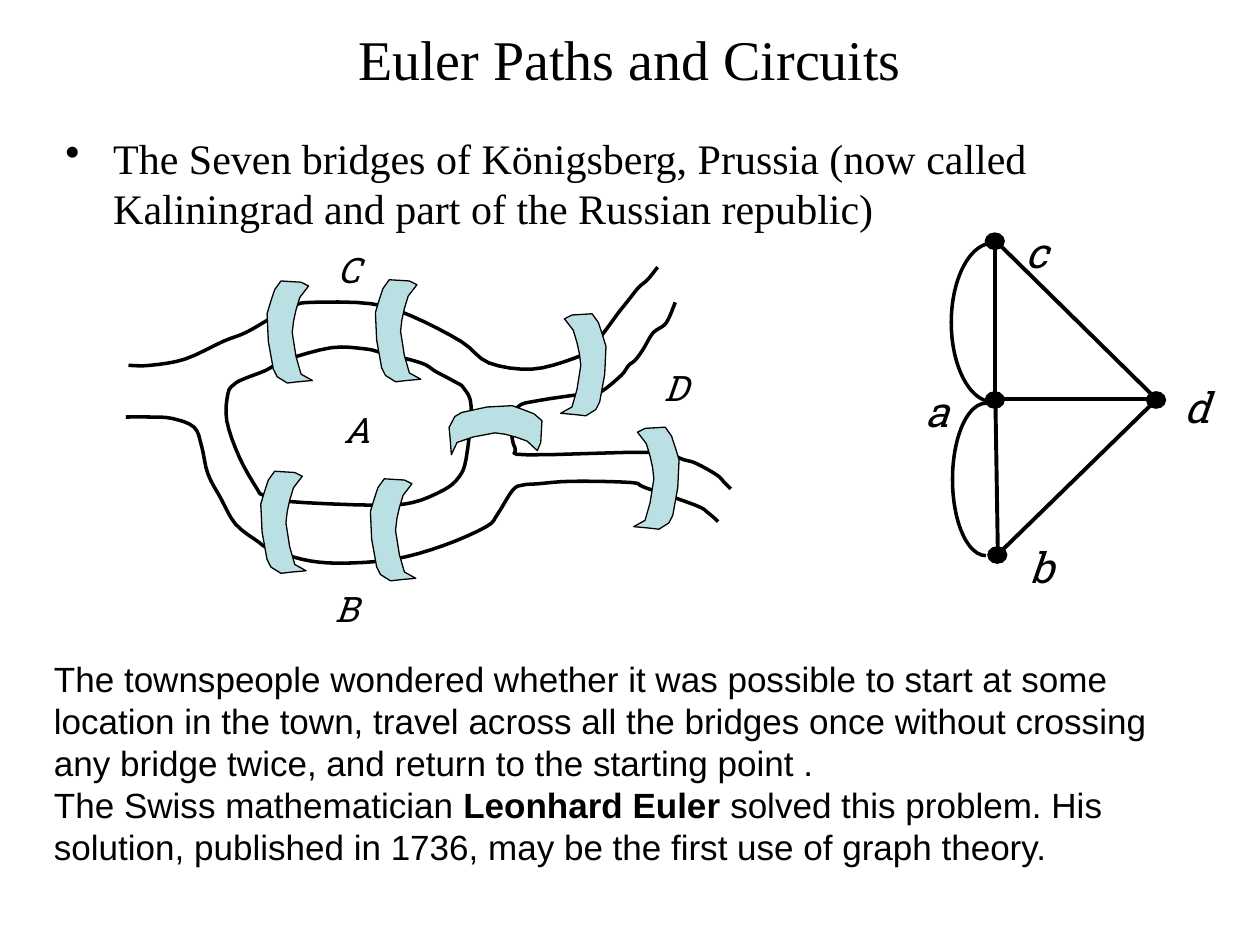
from lxml.etree import SubElement
from pptx import Presentation
from pptx.dml.color import RGBColor
from pptx.enum.shapes import MSO_CONNECTOR, MSO_SHAPE as Shape
from pptx.enum.text import MSO_ANCHOR as Anchor, PP_ALIGN as Align
from pptx.oxml.ns import qn
from pptx.util import Inches, Pt

BLACK = RGBColor(0x00, 0x00, 0x00)
BRIDGE_BLUE = RGBColor(0xBB, 0xE0, 0xE3)

prs = Presentation()
prs.slide_width, prs.slide_height = Inches(10), Inches(7.5)
slide = prs.slides.add_slide(prs.slide_layouts[6])
shapes = slide.shapes


def add_text(paragraphs, left, top, width, height, font, size, italic=False,
             align=Align.LEFT, anchor=Anchor.TOP, wrap=True):
    """Each paragraph is a list of (text, bold) runs."""
    frame = shapes.add_textbox(Inches(left), Inches(top), Inches(width), Inches(height)).text_frame
    frame.word_wrap = wrap
    frame.vertical_anchor = anchor
    for i, runs in enumerate(paragraphs):
        paragraph = frame.paragraphs[0] if i == 0 else frame.add_paragraph()
        paragraph.alignment = align
        for words, bold in runs:
            run = paragraph.add_run()
            run.text = words
            run.font.name, run.font.size = font, Pt(size)
            run.font.bold, run.font.italic = bold, italic
            run.font.color.rgb = BLACK
    return frame


def add_outline(points, closed=False, steps=1, fill=None, weight=2.25):
    """Draw through the points; more than one step rounds each span as a Catmull-Rom spline."""
    ends = [points[0], *points, points[-1]]
    if closed:
        ends = [points[-1], *points, points[0], points[1]]
    path = [ends[1]]
    for p0, p1, p2, p3 in zip(ends, ends[1:], ends[2:], ends[3:]):
        for step in range(1, steps + 1):
            t = step / steps
            path.append(p2 if step == steps else tuple(
                b + t * (c - a) / 2 + t ** 2 * (2 * a - 5 * b + 4 * c - d) / 2
                + t ** 3 * (3 * b - a - 3 * c + d) / 2
                for a, b, c, d in zip(p0, p1, p2, p3)))
    path = [(Inches(x), Inches(y)) for x, y in path]
    builder = shapes.build_freeform(*path[0])
    builder.add_line_segments(path[1:], close=closed)
    outline = builder.convert_to_shape()
    outline.shadow.inherit = False
    outline.line.color.rgb, outline.line.width = BLACK, Pt(weight)
    if fill is None:
        outline.fill.background()
    else:
        outline.fill.solid()
        outline.fill.fore_color.rgb = fill


# Heading and bullet
add_text([[("Euler Paths and Circuits", False)]], 0.5, 0, 9, 0.92,
         "Times New Roman", 32, align=Align.CENTER, anchor=Anchor.MIDDLE)
intro = add_text([[("The Seven bridges of Königsberg, Prussia (now called "
                    "Kaliningrad and part of the Russian republic)", False)]],
                 0.42, 1, 9.25, 0.92, "Times New Roman", 24)
bullet_props = intro.paragraphs[0]._p.get_or_add_pPr()
bullet_props.set("marL", str(Inches(0.38)))
bullet_props.set("indent", str(-Inches(0.38)))
SubElement(bullet_props, qn("a:buChar")).set("char", "•")

# Graph: vertices, straight edges and the doubled edges
vertices = {"a": (7.9, 3.17), "b": (7.92, 4.4), "c": (7.9, 1.91), "d": (9.18, 3.17)}
for start, end in ("cd", "ad", "ab", "ac", "bd"):
    edge = shapes.add_connector(MSO_CONNECTOR.STRAIGHT,
                                *map(Inches, vertices[start] + vertices[end]))
    edge.line.color.rgb, edge.line.width = BLACK, Pt(2.25)
    SubElement(edge._element.spPr, qn("a:effectLst"))
for x, y in vertices.values():
    dot = shapes.add_shape(Shape.OVAL, Inches(x - 0.08), Inches(y - 0.06), Inches(0.15), Inches(0.13))
    dot.shadow.inherit = False
    dot.fill.solid()
    dot.fill.fore_color.rgb = BLACK
    dot.line.color.rgb, dot.line.width = BLACK, Pt(0.75)
for left, top, width, height in ((7.55, 1.93, 0.66, 1.26), (7.56, 3.2, 0.53, 1.21)):
    arc = shapes.add_shape(Shape.ARC, Inches(left), Inches(top), Inches(width), Inches(height))
    arc.adjustments[0], arc.adjustments[1] = 54, 162  # 90° to 270°, in units of 100000/60000 degree
    arc.shadow.inherit = False
    arc.fill.background()
    arc.line.color.rgb, arc.line.width = BLACK, Pt(2)

# River banks and the island
north_bank = [
    (1.02, 2.9), (1.19, 2.9), (1.47, 2.85), (1.77, 2.71), (1.95, 2.64), (2.16, 2.52),
    (2.33, 2.43), (2.46, 2.4), (2.94, 2.41), (3.27, 2.51), (3.66, 2.71), (3.88, 2.88),
    (4.22, 2.93), (4.54, 2.85), (4.69, 2.77), (4.77, 2.67), (4.83, 2.59), (4.91, 2.48),
    (4.95, 2.43), (4.99, 2.38), (5.07, 2.28), (5.14, 2.22), (5.22, 2.12)]
south_bank = [
    (1, 3.31), (1.17, 3.31), (1.36, 3.32), (1.54, 3.39), (1.6, 3.54), (1.65, 3.76),
    (1.75, 3.95), (1.87, 4.16), (2.05, 4.3), (2.13, 4.35), (2.4, 4.44), (2.69, 4.47),
    (3.12, 4.44), (3.52, 4.33), (3.86, 4.18), (3.95, 4.08), (4.07, 3.89), (4.15, 3.85),
    (4.27, 3.84), (4.54, 3.82), (5.01, 3.83), (5.12, 3.87), (5.52, 4.01), (5.62, 4.07),
    (5.7, 4.14)]
east_bank = [
    (5.36, 2.4), (5.29, 2.56), (5.21, 2.62), (5.17, 2.66), (5.1, 2.78), (5.04, 2.86),
    (4.99, 2.9), (4.93, 2.98), (4.77, 3.11), (4.68, 3.12), (4.27, 3.18), (4.11, 3.23),
    (4.06, 3.39), (4.09, 3.56), (4.19, 3.61), (5.17, 3.59), (5.43, 3.65), (5.53, 3.68),
    (5.69, 3.77), (5.75, 3.83), (5.8, 3.88)]
island = [
    (1.86, 3.05), (1.93, 3.01), (2.11, 2.94), (2.26, 2.86), (2.63, 2.76), (2.9, 2.77),
    (3.03, 2.8), (3.34, 2.88), (3.46, 2.95), (3.61, 3.03), (3.68, 3.08), (3.74, 3.23),
    (3.7, 3.64), (3.64, 3.79), (3.52, 3.89), (3.27, 3.99), (2.96, 4.01), (2.28, 3.98),
    (2.09, 3.93), (2.04, 3.88), (1.9, 3.63), (1.8, 3.34), (1.81, 3.12)]
for bank in (north_bank, island, south_bank, east_bank):
    add_outline(bank, closed=bank is island, steps=4, weight=2)

# Seven bridges from one outline: four plain, two mirrored, one turned on its side
bridge = [
    (0.11, 0.02), (0.06, 0.09), (0.03, 0.18), (0, 0.28), (0.01, 0.5), (0.05, 0.72),
    (0.08, 0.78), (0.16, 0.83), (0.25, 0.82), (0.36, 0.81), (0.27, 0.76), (0.23, 0.62),
    (0.2, 0.43), (0.21, 0.34), (0.23, 0.25), (0.26, 0.15), (0.33, 0.06), (0.27, 0.03)]
bridges = [[(left + x, top + y) for x, y in bridge]
           for left, top in ((2.12, 2.21), (2.98, 2.2), (2.07, 3.72), (2.94, 3.78))]
bridges += [[(right - x, top + y) for x, y in bridge]
            for right, top in ((4.81, 2.47), (5.39, 3.37))]
bridges.append([(4.32 - 0.91 * y, 3.22 + 1.08 * x) for x, y in bridge])
for outline_points in bridges:
    add_outline(outline_points, closed=True, fill=BRIDGE_BLUE, weight=0.75)

# Labels of vertices and land areas
for label, left, top, size in (
        ("a", 7.25, 3.01, 24), ("b", 8.07, 4.25, 24), ("c", 8.04, 1.75, 24), ("d", 9.3, 2.98, 24),
        ("A", 2.63, 3.19, 20), ("B", 2.56, 4.61, 20), ("C", 2.58, 1.92, 20), ("D", 5.17, 2.86, 20)):
    add_text([[(label, False)]], left, top, 0.37, 0.4, "Roboto Slab", size, italic=True, wrap=False)

add_text([
    [("The townspeople wondered whether it was possible to start at some location in the town, "
      "travel across all the bridges once without crossing any bridge twice, "
      "and return to the starting point .", False)],
    [("The Swiss mathematician ", False), ("Leonhard Euler ", True),
     ("solved this problem. His solution, published in 1736, "
      "may be the first use of graph theory.", False)],
], 0.33, 5.17, 9.08, 1.78, "Arial", 20)

prs.save("out.pptx")
